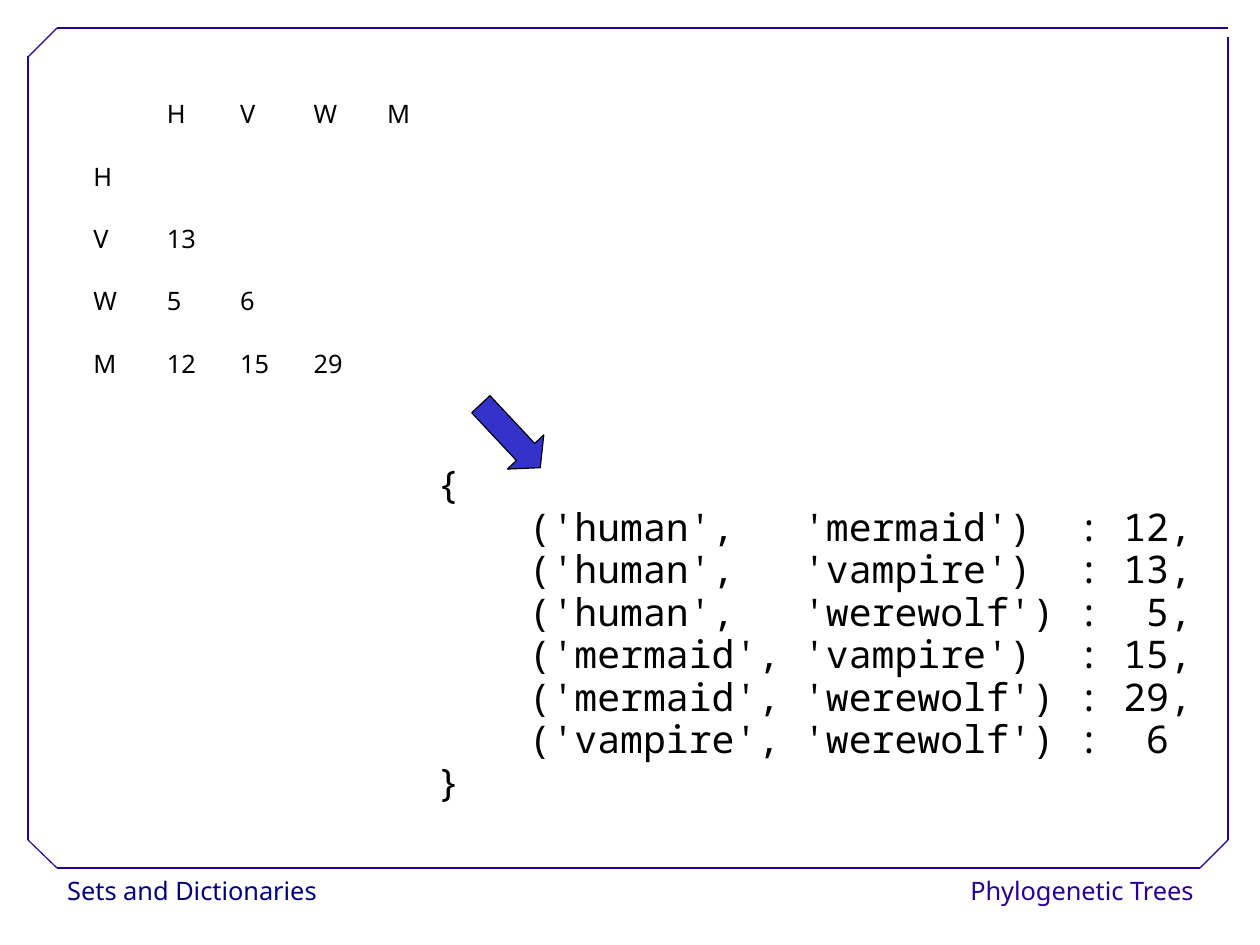
import pptx
import pptx.dml.color
import pptx.enum.shapes
import pptx.enum.text
import pptx.util
from lxml import etree

PX = 8000
SANS = "Noto Sans"
MONO = "Noto Sans Mono"
BLACK = "000000"
VIOLET = "280099"
LEFT = pptx.enum.text.PP_ALIGN.LEFT
RIGHT = pptx.enum.text.PP_ALIGN.RIGHT
FRAME_EDGES = [
    (57, 868, 1200, 868),
    (28, 840, 28, 56),
    (57, 28, 1228, 28),
    (1228, 840, 1228, 37),
    (28, 57, 57, 28),
    (1200, 868, 1228, 840),
    (28, 840, 57, 868),
]
DISTANCES = [
    ["", "H", "V", "W", "M"],
    ["H", "", "", "", ""],
    ["V", "13", "", "", ""],
    ["W", "5", "6", "", ""],
    ["M", "12", "15", "29", ""],
]
DICTIONARY = """{
    ('human',   'mermaid')  : 12,
    ('human',   'vampire')  : 13,
    ('human',   'werewolf') :  5,
    ('mermaid', 'vampire')  : 15,
    ('mermaid', 'werewolf') : 29,
    ('vampire', 'werewolf') :  6
}"""


def px(*lengths):
    return [pptx.util.Emu(length * PX) for length in lengths]


def rgb(color):
    return pptx.dml.color.RGBColor.from_string(color)


def format_text(frame, size, font, color, spacing, align=LEFT):
    for paragraph in frame.paragraphs:
        paragraph.alignment = align
        paragraph.line_spacing = spacing
        for run in paragraph.runs:
            run.font.size = pptx.util.Pt(size)
            run.font.name = font
            run.font.color.rgb = rgb(color)


def add_text(slide, box, text, size, font, color, spacing, align=LEFT):
    frame = slide.shapes.add_textbox(*px(*box)).text_frame
    frame.word_wrap = True
    frame.text = text
    format_text(frame, size, font, color, spacing, align)


def add_edge(slide, ends):
    edge = slide.shapes.add_connector(
        pptx.enum.shapes.MSO_CONNECTOR.STRAIGHT, *px(*ends))
    edge.line.color.rgb = rgb(VIOLET)
    edge.line.width = pptx.util.Pt(0.75)
    etree.SubElement(edge.element.spPr, pptx.oxml.ns.qn("a:effectLst"))


def add_distance_table(slide, box):
    size = len(DISTANCES)
    table = slide.shapes.add_table(size, size, *px(*box)).table
    table.first_row = False
    table.horz_banding = False
    for row, values in enumerate(DISTANCES):
        for column, value in enumerate(values):
            cell = table.cell(row, column)
            cell.fill.background()
            cell.vertical_anchor = pptx.enum.text.MSO_ANCHOR.MIDDLE
            cell.text = value
            format_text(cell.text_frame, 16, SANS, BLACK, 0.93)
            cell.text_frame.paragraphs[0].space_after = pptx.util.Pt(14.2)


def add_arrow(slide, box, rotation):
    arrow = slide.shapes.add_shape(
        pptx.enum.shapes.MSO_SHAPE.RIGHT_ARROW, *px(*box))
    arrow.rotation = rotation
    arrow.adjustments[0] = 0.5
    arrow.adjustments[1] = 0.43
    arrow.shadow.inherit = False
    arrow.fill.solid()
    arrow.fill.fore_color.rgb = rgb("3333CC")
    arrow.line.color.rgb = rgb(BLACK)
    arrow.line.width = pptx.util.Pt(0.75)


def main():
    deck = pptx.Presentation()
    deck.slide_width, deck.slide_height = px(1260, 945)
    slide = deck.slides.add_slide(deck.slide_layouts[6])
    add_text(slide, (56, 869, 274, 46), "Sets and Dictionaries",
             16, SANS, "000080", 1.02)
    add_text(slide, (931, 869, 274, 46), "Phylogenetic Trees",
             16, SANS, VIOLET, 1.02, RIGHT)
    for ends in FRAME_EDGES:
        add_edge(slide, ends)
    add_distance_table(slide, (82, 83, 367, 312))
    add_text(slide, (426, 459, 829, 352), DICTIONARY, 24, MONO, BLACK, 0.93)
    add_arrow(slide, (467, 411, 87, 50), 46.9)
    deck.save("out.pptx")


if __name__ == "__main__":
    main()
